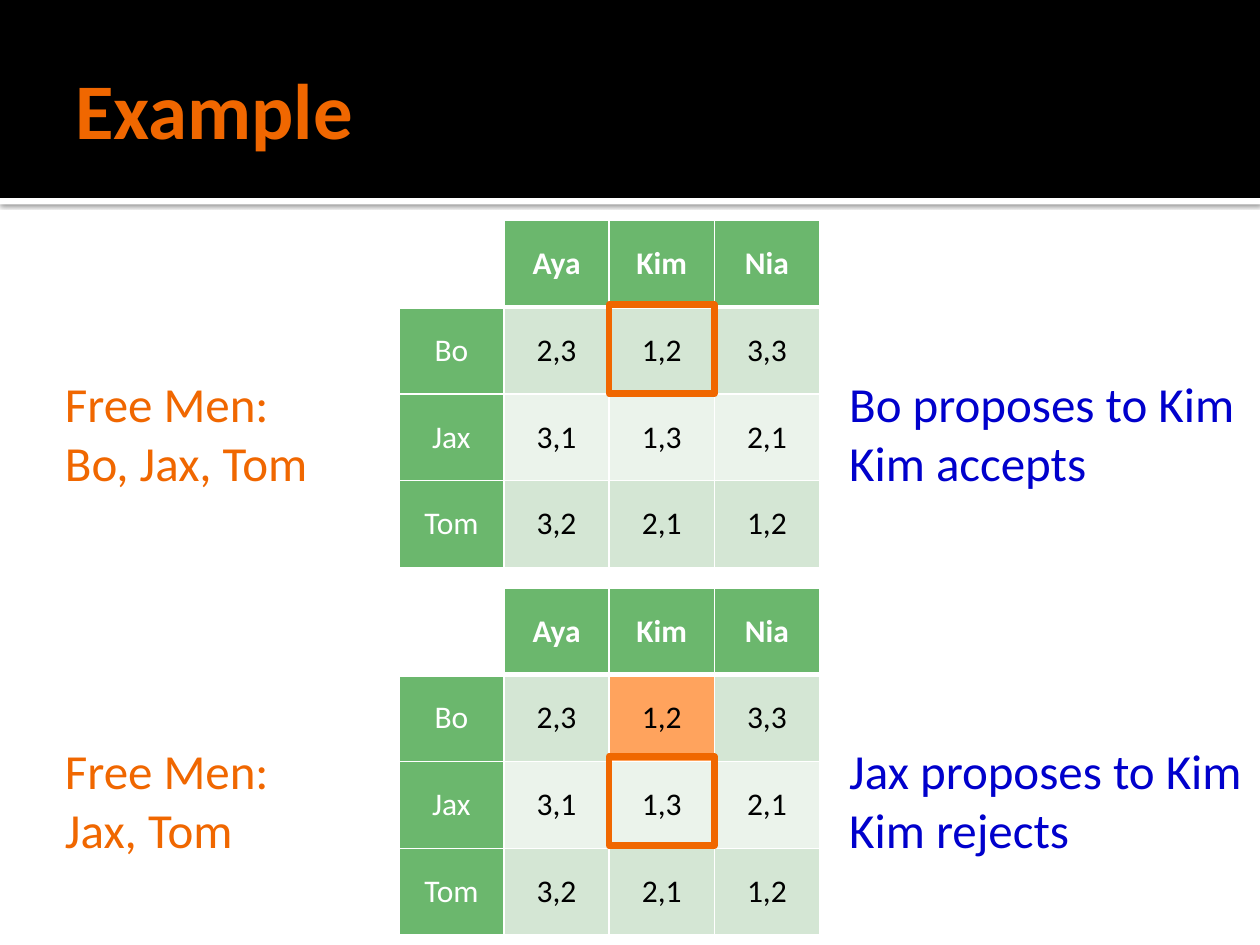
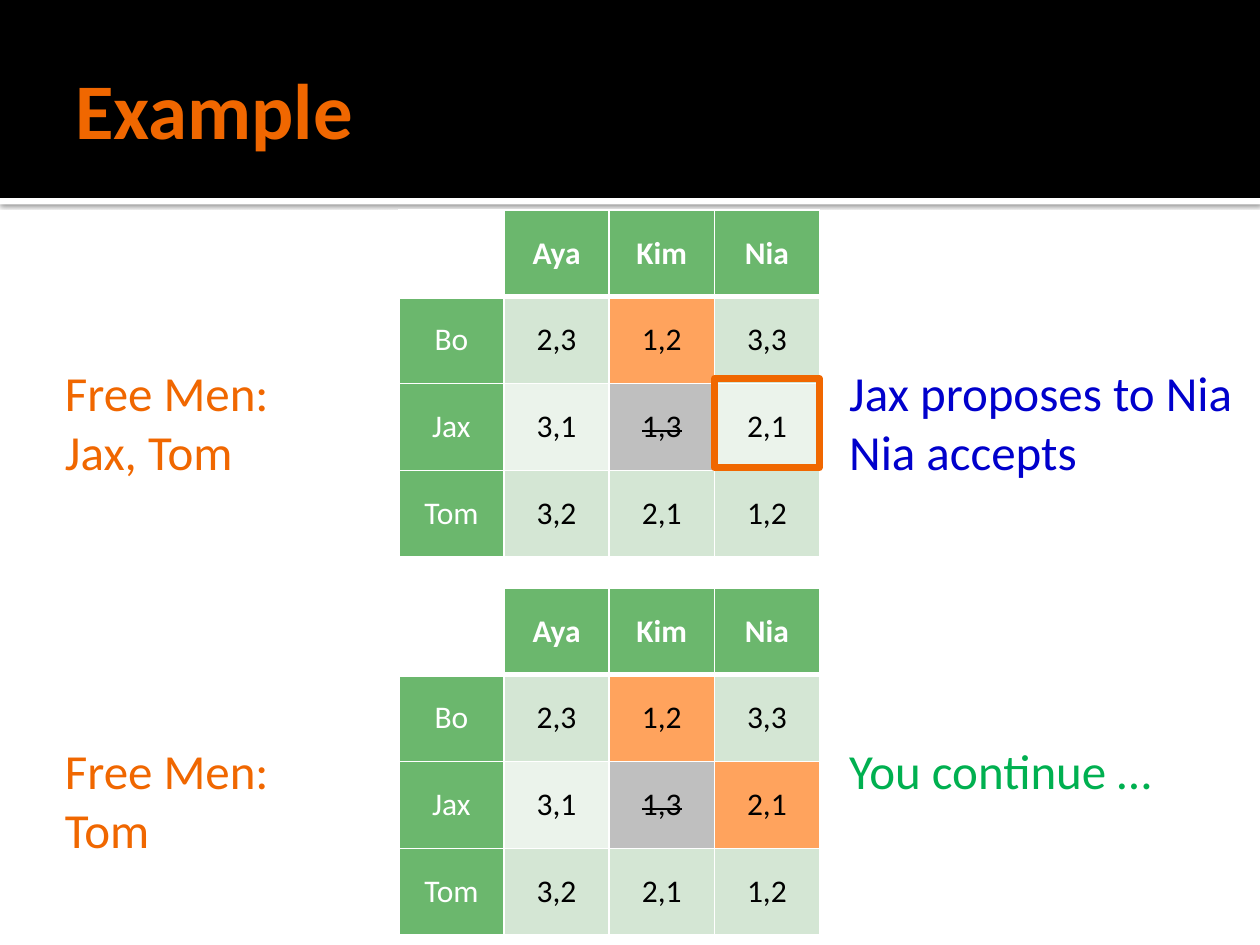
from lxml import etree
from pptx import Presentation
from pptx.dml import color as c
from pptx.enum import shapes, text
from pptx.oxml import ns
from pptx.util import Cm, Pt

ORANGE, BLUE, GREEN = "F06700", "0000CC", "00B050"
WHITE, BLACK, HEADER = "FFFFFF", "000000", "6BB76D"
ROW_FILLS = ["D4E6D4", "EBF3EB"]
ENGAGED, REJECTED = "FFA35D", "BFBFBF"
TABLE_LEFT, COLUMN, ROW = 8.04, 2.12, 1.75
UPPER, LOWER = 4.44, 11.85

PREFERENCES = [
    ["", "Aya", "Kim", "Nia"],
    ["Bo", "2,3", "1,2", "3,3"],
    ["Jax", "3,1", "1,3", "2,1"],
    ["Tom", "3,2", "2,1", "1,2"],
]

BO_KIM, JAX_KIM, JAX_NIA = (1, 2), (2, 2), (2, 3)
SLIDES = [
    [
        dict(top=UPPER, free="Bo, Jax, Tom", free_width=5.64, marks={}, proposal=BO_KIM,
             event="Bo proposes to Kim\nKim accepts", event_width=8.53, ink=BLUE),
        dict(top=LOWER, free="Jax, Tom", free_width=4.65, marks={BO_KIM: ENGAGED}, proposal=JAX_KIM,
             event="Jax proposes to Kim\nKim rejects", event_width=8.74, ink=BLUE),
    ],
    [
        dict(top=4.23, free="Jax, Tom", free_width=4.65,
             marks={BO_KIM: ENGAGED, JAX_KIM: REJECTED}, proposal=JAX_NIA,
             event="Jax proposes to Nia\nNia accepts", event_width=8.48, ink=BLUE),
        dict(top=LOWER, free="Tom", free_width=4.65,
             marks={BO_KIM: ENGAGED, JAX_KIM: REJECTED, JAX_NIA: ENGAGED}, proposal=None,
             event="You continue …", event_width=7.14, ink=GREEN),
    ],
]


def rgb(value):
    return c.RGBColor.from_string(value)


def write(frame, words, size, ink, bold=False, align=text.PP_ALIGN.LEFT):
    frame.text = words
    for para in frame.paragraphs:
        para.alignment = align
        for span in para.runs:
            span.font.name = "Calibri"
            span.font.size = Pt(size)
            span.font.bold = bold
            span.font.color.rgb = rgb(ink)


deck = Presentation()
deck.slide_width, deck.slide_height = Cm(25.4), Cm(19.05)

for steps in SLIDES:
    page = deck.slides.add_slide(deck.slide_layouts[6])

    for top, height, fill in [(3.99, 0.13, WHITE), (0, 3.99, BLACK)]:
        band = page.shapes.add_shape(shapes.MSO_SHAPE.RECTANGLE, 0, Cm(top), deck.slide_width, Cm(height))
        band.fill.solid()
        band.fill.fore_color.rgb = rgb(fill)
        band.line.fill.background()
        band.shadow.inherit = False
        if fill == WHITE:
            effects = band._element.spPr.find(ns.qn("a:effectLst"))
            shadow = etree.SubElement(effects, ns.qn("a:outerShdw"), blurRad=str(Pt(2.5)),
                                      dist=str(Pt(0.8)), dir="5400000", algn="tl", rotWithShape="0")
            tint = etree.SubElement(shadow, ns.qn("a:srgbClr"), val=BLACK)
            etree.SubElement(tint, ns.qn("a:alpha"), val="60000")

    title = page.shapes.add_textbox(Cm(1.27), Cm(0.43), Cm(22.86), Cm(3.48)).text_frame
    title.word_wrap = True
    title.vertical_anchor = text.MSO_ANCHOR.MIDDLE
    write(title, "Example", 45, ORANGE, bold=True)

    for step in steps:
        table = page.shapes.add_table(4, 4, Cm(TABLE_LEFT), Cm(step["top"]), Cm(4 * COLUMN), Cm(4 * ROW)).table
        table.first_row = table.horz_banding = False
        for column in table.columns:
            column.width = Cm(COLUMN)
        for row, values in enumerate(PREFERENCES):
            table.rows[row].height = Cm(ROW)
            for col, value in enumerate(values):
                cell = table.cell(row, col)
                cell.vertical_anchor = text.MSO_ANCHOR.MIDDLE
                heading = row == 0 or col == 0
                write(cell.text_frame, value, 18, WHITE if heading else BLACK, row == 0, text.PP_ALIGN.CENTER)

                properties = cell._tc.get_or_add_tcPr()
                for side in ["L", "R", "T", "B"]:
                    thick = (row, side) in [(0, "B"), (1, "T")]
                    border = etree.SubElement(properties, ns.qn("a:ln" + side), w=str(Pt(3 if thick else 1)))
                    solid = etree.SubElement(border, ns.qn("a:solidFill"))
                    etree.SubElement(solid, ns.qn("a:srgbClr"), val=WHITE)

                mark = step["marks"].get((row, col))
                if value:
                    cell.fill.solid()
                    cell.fill.fore_color.rgb = rgb(HEADER if heading else mark or ROW_FILLS[(row - 1) % 2])
                else:
                    cell.fill.background()
                if mark == REJECTED:
                    cell.text_frame.paragraphs[0].runs[0]._r.get_or_add_rPr().set("strike", "sngStrike")

        for left, width, words, ink in [
            (1.06, step["free_width"], "Free Men:\v" + step["free"], ORANGE),
            (16.87, step["event_width"], step["event"], step["ink"]),
        ]:
            height = 2.65 if len(words.splitlines()) > 1 else 1.45
            box = page.shapes.add_textbox(Cm(left), Cm(step["top"] + 2.96), Cm(width), Cm(height))
            box.text_frame.word_wrap = False
            box.text_frame.auto_size = text.MSO_AUTO_SIZE.SHAPE_TO_FIT_TEXT
            write(box.text_frame, words, 28, ink)

        if step["proposal"]:
            row, col = step["proposal"]
            frame = page.shapes.add_shape(
                shapes.MSO_SHAPE.RECTANGLE, Cm(TABLE_LEFT + col * COLUMN), Cm(step["top"] + row * 1.7),
                Cm(COLUMN), Cm(1.8))
            frame.fill.background()
            frame.line.color.rgb = rgb(ORANGE)
            frame.line.width = Pt(3.78)
            frame.shadow.inherit = False

deck.save("out.pptx")
